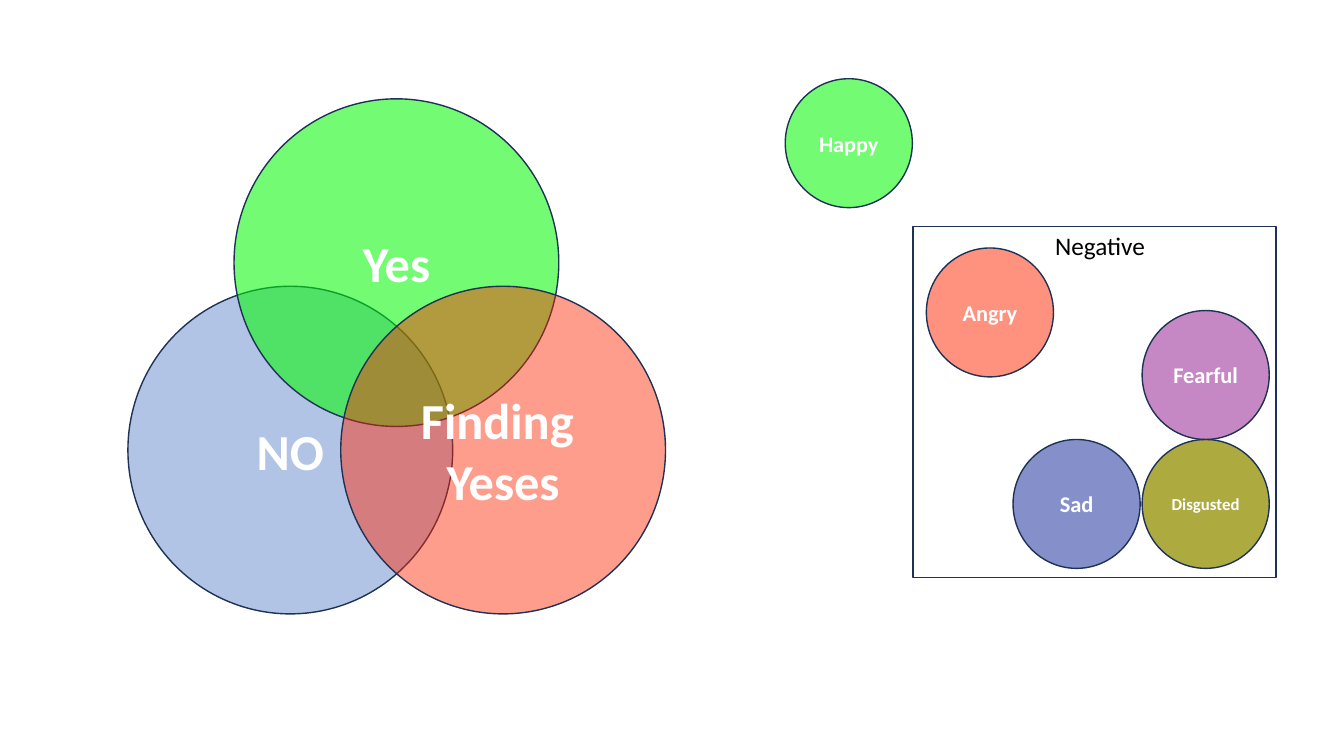
from lxml import etree
from pptx import Presentation
from pptx.dml.color import RGBColor
from pptx.enum.shapes import MSO_SHAPE
from pptx.enum.text import MSO_ANCHOR, MSO_AUTO_SIZE, PP_ALIGN
from pptx.oxml.ns import qn
from pptx.util import Pt

OVAL = MSO_SHAPE.OVAL
RECTANGLE = MSO_SHAPE.RECTANGLE
MIDDLE = MSO_ANCHOR.MIDDLE
FIT_SHAPE = MSO_AUTO_SIZE.SHAPE_TO_FIT_TEXT
LEFT, CENTER = PP_ALIGN.LEFT, PP_ALIGN.CENTER

BLACK = RGBColor(0x00, 0x00, 0x00)
WHITE = RGBColor(0xFF, 0xFF, 0xFF)
OUTLINE = RGBColor(0x1E, 0x32, 0x56)
BLUE = RGBColor(0x44, 0x72, 0xC4)
GREEN = RGBColor(0x00, 0xFA, 0x00)
RED = RGBColor(0xFF, 0x26, 0x00)
NAVY = RGBColor(0x01, 0x18, 0x93)
OLIVE = RGBColor(0x92, 0x90, 0x00)
PURPLE = RGBColor(0x94, 0x20, 0x93)


def write_text(shape, text, size, color=WHITE, bold=True, align=CENTER):
    """Put each line of the text in its own paragraph."""
    shape.text_frame.text = text
    for paragraph in shape.text_frame.paragraphs:
        paragraph.alignment = align
        font = paragraph.runs[0].font
        font.name = "Calibri"
        font.size = Pt(size)
        font.bold = bold
        font.color.rgb = color


def add_circle(shapes, text, left, top, width, height, color, opacity, size):
    """Add a labelled circle whose fill has the given opacity in percent."""
    circle = shapes.add_shape(OVAL, Pt(left), Pt(top), Pt(width), Pt(height))
    circle.shadow.inherit = False
    circle.fill.solid()
    circle.fill.fore_color.rgb = color
    solid_color = circle.fill._xPr.find(qn("a:solidFill"))[0]
    etree.SubElement(solid_color, qn("a:alpha"), val=str(opacity * 1000))
    circle.line.color.rgb = OUTLINE
    circle.line.width = Pt(1)
    circle.text_frame.vertical_anchor = MIDDLE
    write_text(circle, text, size)


presentation = Presentation()
presentation.slide_width = Pt(960)
presentation.slide_height = Pt(540)
slide = presentation.slides.add_slide(presentation.slide_layouts[6])

# Three overlapping circles
venn = slide.shapes.add_group_shape()
for text, left, top, color, opacity in [
    ("NO", 91.4, 204.5, BLUE, 41),
    ("Yes", 167.2, 70.6, GREEN, 55),
    ("Finding \nYeses", 243.4, 204.5, RED, 45),
]:
    add_circle(venn.shapes, text, left, top, 232, 234, color, opacity, 36)

# Emotions
for text, left, top, color, opacity, size in [
    ("Happy", 560.9, 56.2, GREEN, 55, 16),
    ("Sad", 723.6, 313.9, NAVY, 48, 16),
    ("Disgusted", 815.8, 313.9, OLIVE, 75, 12),
    ("Angry", 661.7, 177.1, RED, 50, 16),
    ("Fearful", 815.8, 221.8, PURPLE, 53, 16),
]:
    add_circle(slide.shapes, text, left, top, 90.8, 92.1, color, opacity, size)

# Frame around the negative emotions
frame = slide.shapes.add_shape(RECTANGLE, Pt(652.3), Pt(162), Pt(259.2), Pt(250.5))
frame.shadow.inherit = False
frame.fill.background()
frame.line.color.rgb = OUTLINE
frame.line.width = Pt(1)

frame_label = slide.shapes.add_textbox(Pt(746.6), Pt(161.3), Pt(79), Pt(29))
frame_label.text_frame.word_wrap = False
frame_label.text_frame.auto_size = FIT_SHAPE
write_text(frame_label, "Negative", 18, color=BLACK, bold=False, align=LEFT)

presentation.save("out.pptx")
